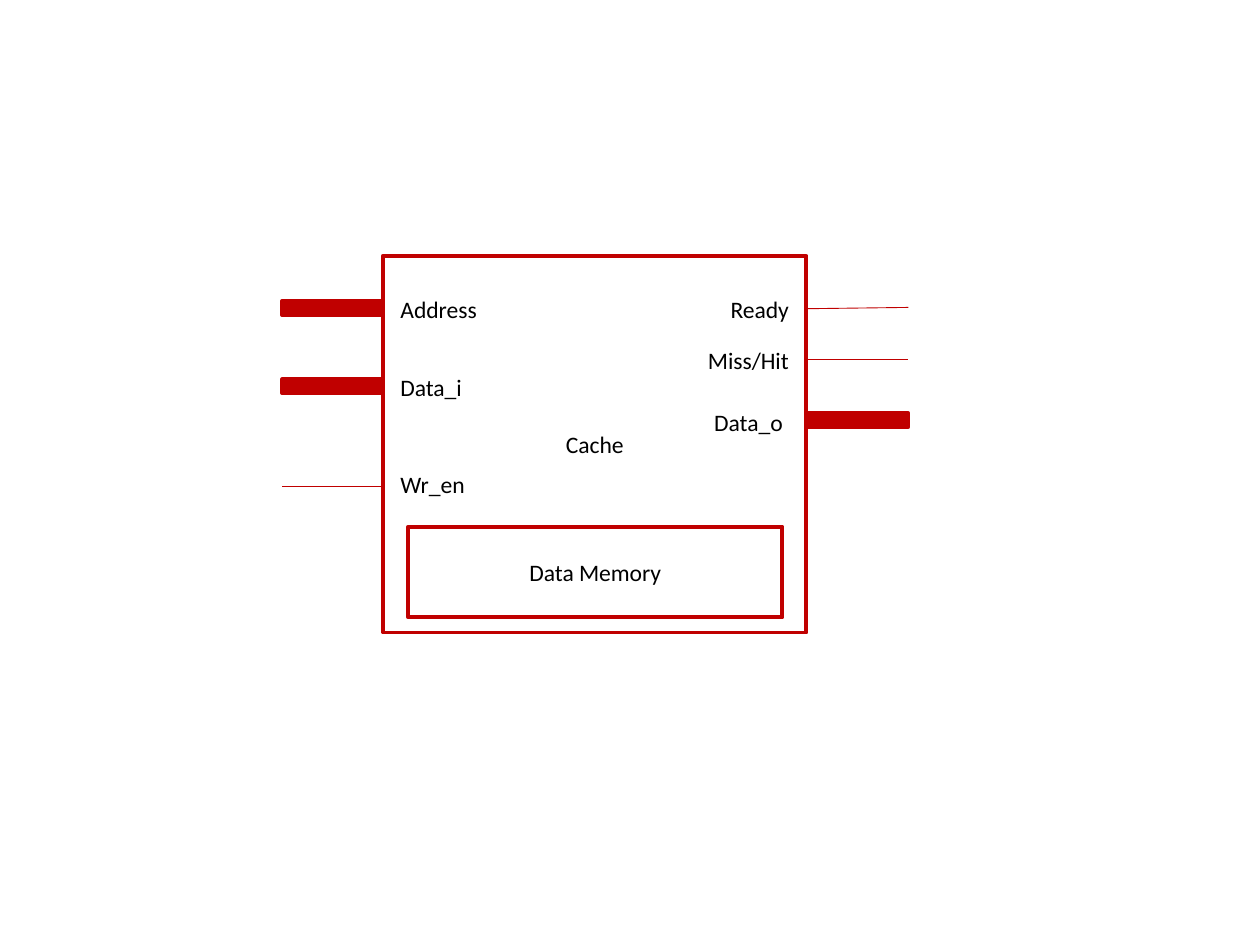
"""Draw the block diagram of a cache with its input and output ports."""
from lxml.etree import SubElement
from pptx import Presentation
from pptx.dml.color import RGBColor
from pptx.enum.shapes import MSO_CONNECTOR, MSO_SHAPE
from pptx.enum.text import MSO_ANCHOR, MSO_AUTO_SIZE, PP_ALIGN
from pptx.oxml.ns import qn
from pptx.util import Inches, Pt

RED, WHITE, BLACK = "C00000", "FFFFFF", "000000"
BLOCKS = [
    ("Cache", 3.04, 2.03, 3.36, 2.99),
    ("Data Memory", 3.24, 4.18, 2.97, 0.72),
]
LABELS = [
    ("Address", 3.08, 2.29, 0.82),
    ("Data_i", 3.08, 2.91, 0.70),
    ("Wr_en", 3.08, 3.68, 0.72),
    ("Ready", 5.70, 2.29, 0.67),
    ("Miss/Hit", 5.52, 2.70, 0.85),
    ("Data_o", 5.57, 3.19, 0.75),
]
INPUT_LEFT, OUTPUT_LEFT = 2.24, 6.41
BUSES = [(INPUT_LEFT, 2.39), (INPUT_LEFT, 3.01), (OUTPUT_LEFT, 3.28)]
WIRES = [(INPUT_LEFT, 3.86, 3.86), (OUTPUT_LEFT, 2.45, 2.44), (OUTPUT_LEFT, 2.85, 2.85)]
PORT_LENGTH, BUS_HEIGHT, LABEL_HEIGHT = 0.8, 0.11, 0.33


def color(value):
    return RGBColor.from_string(value)


def write(shape, text):
    para = shape.text_frame.paragraphs[0]
    para.text = text
    para.font.name = "Calibri"
    para.font.size = Pt(13.5)
    para.font.color.rgb = color(BLACK)
    return para


def add_rectangle(page, left, top, width, height, fill):
    shape = page.shapes.add_shape(MSO_SHAPE.RECTANGLE, *map(Inches, (left, top, width, height)))
    shape.shadow.inherit = False
    shape.fill.solid()
    shape.fill.fore_color.rgb = color(fill)
    shape.line.color.rgb = color(RED)
    shape.line.width = Pt(2.25)
    return shape


def add_block(page, text, *bounds):
    block = add_rectangle(page, *bounds, WHITE)
    block.text_frame.vertical_anchor = MSO_ANCHOR.MIDDLE
    write(block, text).alignment = PP_ALIGN.CENTER


def add_label(page, text, left, top, width):
    label = page.shapes.add_textbox(*map(Inches, (left, top, width, LABEL_HEIGHT)))
    label.text_frame.word_wrap = False
    label.text_frame.auto_size = MSO_AUTO_SIZE.SHAPE_TO_FIT_TEXT
    write(label, text)


def add_wire(page, left, start, end):
    points = map(Inches, (left, start, left + PORT_LENGTH, end))
    wire = page.shapes.add_connector(MSO_CONNECTOR.STRAIGHT, *points)
    wire.line.color.rgb = color(RED)
    wire.line.width = Pt(0.5)
    SubElement(wire._element.spPr, qn("a:effectLst"))


def main():
    deck = Presentation()
    deck.slide_width, deck.slide_height = Inches(10), Inches(7.5)
    page = deck.slides.add_slide(deck.slide_layouts[6])
    for block in BLOCKS:
        add_block(page, *block)
    for left, top in BUSES:
        add_rectangle(page, left, top, PORT_LENGTH, BUS_HEIGHT, RED)
    for wire in WIRES:
        add_wire(page, *wire)
    for label in LABELS:
        add_label(page, *label)
    deck.save("out.pptx")


if __name__ == "__main__":
    main()
